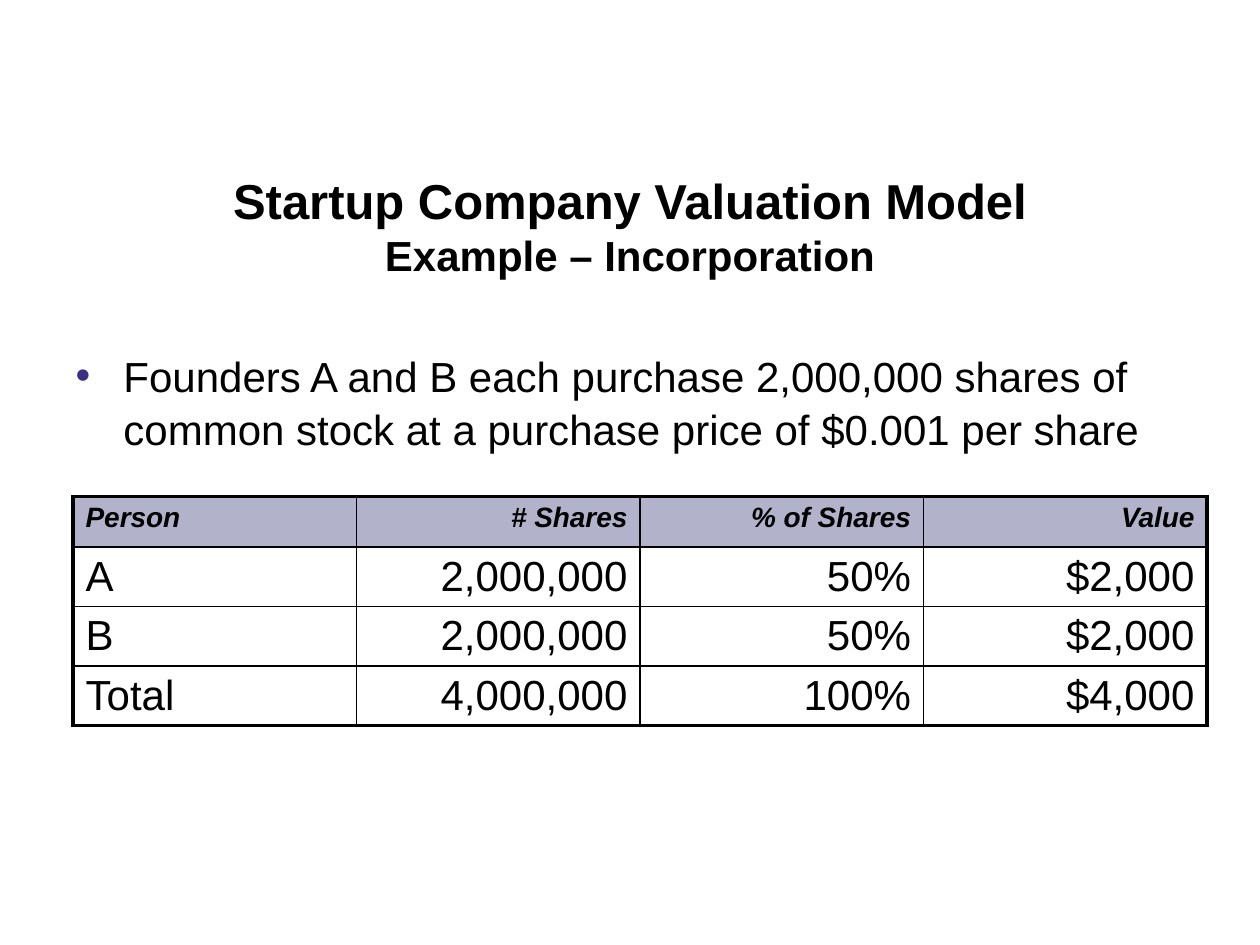
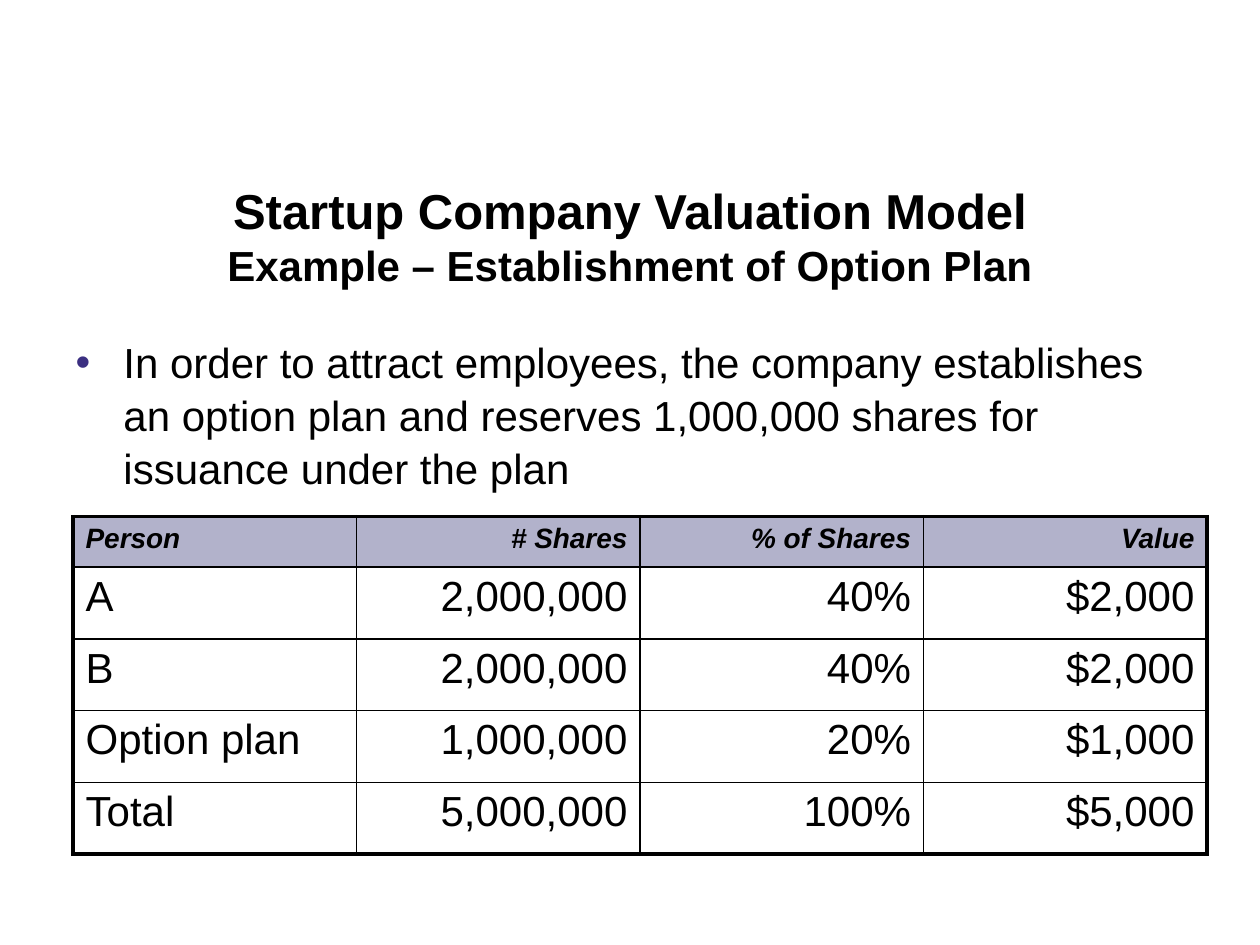
from dataclasses import dataclass

from lxml.etree import SubElement
from pptx import Presentation
from pptx.dml.color import RGBColor
from pptx.enum.text import MSO_ANCHOR, MSO_AUTO_SIZE, PP_ALIGN
from pptx.oxml.ns import qn
from pptx.util import Inches, Pt


@dataclass(frozen=True)
class Theme:
    font: str = "Arial"
    ink: str = "000000"
    bullet: str = "3B2F81"
    header_fill: str = "666699"
    header_opacity: int = 50
    title_size: float = 28
    text_size: float = 24
    header_size: float = 16
    outer_line: float = 2.25
    inner_line: float = 1
    body_line_spacing: float = 1.05


THEME = Theme()
TITLE = "Startup Company Valuation Model"
HEADINGS = ("Person", "# Shares", "% of Shares", "Value")

# The slide is a grid of square units, 10 columns by 7.5 rows
UNIT = Inches(1)
SLIDE_COLUMNS, SLIDE_ROWS = 10, 7.5
MARGIN, CONTENT_WIDTH = 0.5, 9
TABLE_LEFT = 0.58
HEADER_HEIGHT = 0.4


def units(count):
    return round(count * UNIT)


def place(shape, top, height):
    shape.left, shape.top = units(MARGIN), units(top)
    shape.width, shape.height = units(CONTENT_WIDTH), units(height)


def add_text(paragraph, text, size=THEME.text_size, bold=False, italic=False,
             align=PP_ALIGN.LEFT):
    paragraph.alignment = align
    run = paragraph.add_run()
    run.text = text
    font = run.font
    font.name, font.size = THEME.font, Pt(size)
    font.bold, font.italic = bold, italic
    font.color.rgb = RGBColor.from_string(THEME.ink)


def add_solid_fill(parent, color):
    fill = SubElement(parent, qn("a:solidFill"))
    return SubElement(fill, qn("a:srgbClr"), val=color)


# Title and bullet placeholders
def fill_title(slide, subtitle, top):
    title = slide.shapes.title
    place(title, top, 0.58)
    frame = title.text_frame
    frame.auto_size = MSO_AUTO_SIZE.NONE
    frame.vertical_anchor = MSO_ANCHOR.MIDDLE
    paragraph = frame.paragraphs[0]
    add_text(paragraph, TITLE, size=THEME.title_size, bold=True, align=PP_ALIGN.CENTER)
    paragraph.add_line_break()
    add_text(paragraph, subtitle, bold=True, align=PP_ALIGN.CENTER)


def fill_bullet(slide, text, top):
    body = slide.placeholders[1]
    place(body, top, 2.15)
    body.text_frame.auto_size = MSO_AUTO_SIZE.NONE
    paragraph = body.text_frame.paragraphs[0]
    add_text(paragraph, text)
    paragraph.line_spacing = THEME.body_line_spacing
    properties = paragraph._p.get_or_add_pPr()
    indent = units(0.38)
    properties.set("marL", str(indent))
    properties.set("indent", str(-indent))
    bullet_color = SubElement(properties, qn("a:buClr"))
    SubElement(bullet_color, qn("a:srgbClr"), val=THEME.bullet)
    SubElement(properties, qn("a:buFont"), typeface=THEME.font)
    SubElement(properties, qn("a:buChar"), char="•")


# Share table
def set_borders(cell, outer_sides):
    properties = cell._tc.get_or_add_tcPr()
    for side, is_outer in outer_sides.items():
        width = THEME.outer_line if is_outer else THEME.inner_line
        line = SubElement(properties, qn(f"a:ln{side}"), w=str(Pt(width)))
        add_solid_fill(line, THEME.ink)


def set_fill(cell, is_header):
    if not is_header:
        cell.fill.background()
        return
    color = add_solid_fill(cell._tc.get_or_add_tcPr(), THEME.header_fill)
    SubElement(color, qn("a:alpha"), val=str(THEME.header_opacity * 1000))


def add_share_table(slide, holders, top, row_height):
    rows = [HEADINGS, *holders]
    last_row, last_column = len(rows) - 1, len(HEADINGS) - 1
    height = HEADER_HEIGHT + row_height * len(holders)
    table = slide.shapes.add_table(
        len(rows), len(HEADINGS), units(TABLE_LEFT), units(top),
        units(CONTENT_WIDTH), units(height)).table
    table.first_row = table.horz_banding = False
    for row_index, values in enumerate(rows):
        is_header = row_index == 0
        table.rows[row_index].height = units(HEADER_HEIGHT if is_header else row_height)
        for column_index, value in enumerate(values):
            cell = table.cell(row_index, column_index)
            add_text(cell.text_frame.paragraphs[0], value,
                     size=THEME.header_size if is_header else THEME.text_size,
                     bold=is_header, italic=is_header,
                     align=PP_ALIGN.RIGHT if column_index else PP_ALIGN.LEFT)
            set_borders(cell, {"L": column_index == 0, "R": column_index == last_column,
                               "T": is_header, "B": row_index == last_row})
            set_fill(cell, is_header)


def add_example(presentation, subtitle, title_top, bullet, bullet_top,
                holders, table_top, row_height):
    slide = presentation.slides.add_slide(presentation.slide_layouts[1])
    fill_title(slide, subtitle, title_top)
    fill_bullet(slide, bullet, bullet_top)
    add_share_table(slide, holders, table_top, row_height)


def main():
    presentation = Presentation()
    presentation.slide_width = units(SLIDE_COLUMNS)
    presentation.slide_height = units(SLIDE_ROWS)

    # Incorporation
    add_example(
        presentation, "Example – Incorporation", 1.5,
        "Founders A and B each purchase 2,000,000 shares of common stock "
        "at a purchase price of $0.001 per share", 2.71,
        [("A", "2,000,000", "50%", "$2,000"),
         ("B", "2,000,000", "50%", "$2,000"),
         ("Total", "4,000,000", "100%", "$4,000")],
        table_top=3.94, row_height=0.47)

    # Option plan
    add_example(
        presentation, "Example – Establishment of Option Plan", 1.58,
        "In order to attract employees, the company establishes an option plan "
        "and reserves 1,000,000 shares for issuance under the plan", 2.6,
        [("A", "2,000,000", "40%", "$2,000"),
         ("B", "2,000,000", "40%", "$2,000"),
         ("Option plan", "1,000,000", "20%", "$1,000"),
         ("Total", "5,000,000", "100%", "$5,000")],
        table_top=4.1, row_height=0.57)

    presentation.save("out.pptx")


if __name__ == "__main__":
    main()
